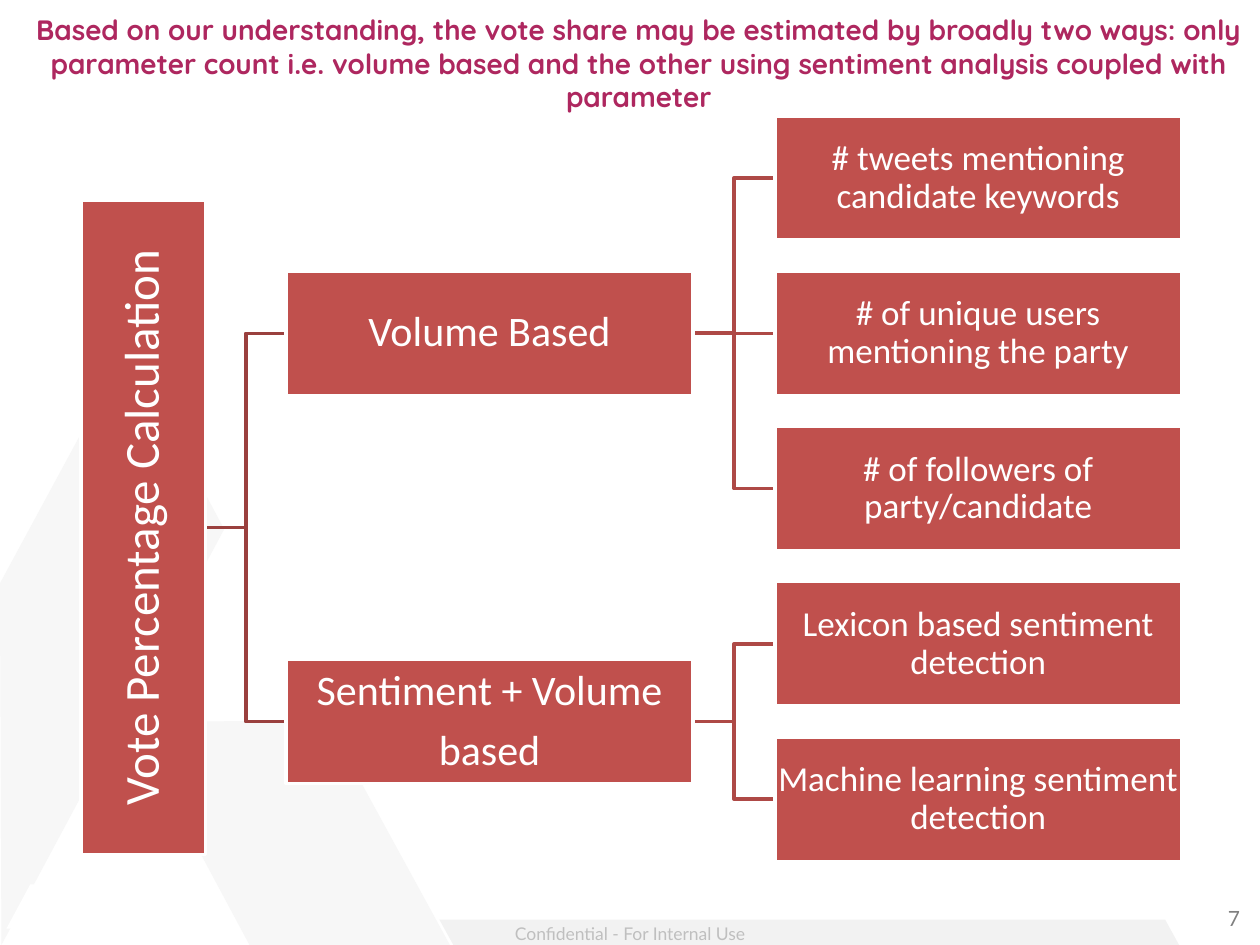
"""Build the vote percentage calculation tree slide."""
from dataclasses import dataclass, field

from lxml import etree
from pptx import Presentation
from pptx import util as u
from pptx.dml.color import RGBColor
from pptx.enum import shapes, text
from pptx.oxml.ns import qn


@dataclass(frozen=True)
class Theme:
    box: str = "C0504D"
    paper: str = "FFFFFF"
    root_link: str = "9A403E"
    branch_link: str = "AE4946"
    title: str = "AE275F"
    motif: str = "F7F7F7"
    footer_band: str = "F2F2F2"
    footer: str = "BFBFBF"
    page: str = "808080"
    node_font: str = "Calibri"
    title_font: str = "Quicksand"
    footer_font: str = "Lato"
    root_size: int = 28
    branch_size: int = 24
    leaf_size: int = 20
    title_size: int = 16
    page_size: int = 12
    footer_size: int = 10
    stroke: int = 2


@dataclass(frozen=True)
class Node:
    label: str
    row: float
    children: list["Node"] = field(default_factory=list)


@dataclass(frozen=True)
class Level:
    left: float
    width: float
    height: float
    size: int
    inset: float
    link: str = ""
    direction: str = "horz"


@dataclass(frozen=True)
class Caption:
    label: str
    left: float
    top: float
    width: float
    height: float
    font: str
    size: int
    color: str
    align: text.PP_ALIGN = text.PP_ALIGN.CENTER
    bold: bool = False


THEME = Theme()
ROW_CENTER, ROW_PITCH = 3.59, 3.13
LEVELS = [
    Level(1.63, 2.51, 13.18, THEME.root_size, 0.05, THEME.root_link, "vert270"),
    Level(5.77, 8.2, 2.51, THEME.branch_size, 0.05, THEME.branch_link),
    Level(15.62, 8.2, 2.51, THEME.leaf_size, 0.03),
]
TREE = Node("Vote Percentage Calculation", 2.25, [
    Node("Volume Based", 1, [
        Node("# tweets mentioning candidate keywords", 0),
        Node("# of unique users mentioning the party", 1),
        Node("# of followers of party/candidate", 2),
    ]),
    Node("Sentiment + Volume\nbased", 3.5, [
        Node("Lexicon based sentiment detection", 3),
        Node("Machine learning sentiment detection", 4),
    ]),
])
MOTIF = [
    (THEME.motif, [(0.03, 19.05), (0, 11.76), (2.57, 7.01), (4.52, 10.67)]),
    (THEME.motif, [(9.07, 19.05), (6.6, 14.53), (2.62, 14.55), (5.03, 19.05)]),
    (THEME.paper, [(2.92, 18.72), (0.13, 18.72), (0.61, 17.83), (2.92, 17.83)]),
]
FOOTER = Caption("Confidential - For Internal Use", 9.73, 18.49, 5.94, 0.56,
                 THEME.footer_font, THEME.footer_size, THEME.footer)
TITLE = Caption(
    "Based on our understanding, the vote share may be estimated by broadly two ways: "
    "only parameter count i.e. volume based and the other using sentiment analysis "
    "coupled with parameter",
    0.36, 0.13, 25.04, 2.18, THEME.title_font, THEME.title_size, THEME.title, bold=True)
PAGE = Caption("7", 24.16, 18.14, 1.09, 0.76, THEME.footer_font, THEME.page_size,
               THEME.page, text.PP_ALIGN.RIGHT)


def paint(shape, color: str) -> None:
    """Give a shape a plain fill without line or shadow."""
    shape.shadow.inherit = False
    shape.fill.solid()
    shape.fill.fore_color.rgb = RGBColor.from_string(color)
    shape.line.fill.background()


def style(paragraph, font: str, size: int, color: str, align, bold: bool = False) -> None:
    """Format a paragraph and its runs."""
    paragraph.alignment = align
    for run in paragraph.runs:
        run.font.name, run.font.size, run.font.bold = font, u.Pt(size), bold
        run.font.color.rgb = RGBColor.from_string(color)


def add_caption(slide, caption: Caption) -> None:
    """Add a free text box."""
    frame = slide.shapes.add_textbox(
        u.Cm(caption.left), u.Cm(caption.top), u.Cm(caption.width), u.Cm(caption.height)
    ).text_frame
    frame.word_wrap = True
    frame.text = caption.label
    style(frame.paragraphs[0], caption.font, caption.size, caption.color,
          caption.align, caption.bold)


def add_backdrop(slide) -> None:
    """Add the footer band and the pale corner motif."""
    band = slide.shapes.add_shape(shapes.MSO_SHAPE.PARALLELOGRAM,
                                  u.Cm(8.86), u.Cm(18.54), u.Cm(14.91), u.Cm(0.51))
    band.adjustments[0] = 0.55
    band._element.spPr.find(qn("a:xfrm")).set("flipH", "1")
    paint(band, THEME.footer_band)
    for color, outline in MOTIF:
        start, *rest = [(u.Cm(x), u.Cm(y)) for x, y in outline]
        builder = slide.shapes.build_freeform(*start)
        builder.add_line_segments(rest, close=True)
        paint(builder.convert_to_shape(), color)


def add_box(slide, node: Node, level: Level):
    """Add one labelled box of the tree."""
    top = ROW_CENTER + node.row * ROW_PITCH - level.height / 2
    box = slide.shapes.add_shape(shapes.MSO_SHAPE.RECTANGLE, u.Cm(level.left), u.Cm(top),
                                 u.Cm(level.width), u.Cm(level.height))
    paint(box, THEME.box)
    box.line.color.rgb = RGBColor.from_string(THEME.paper)
    box.line.width = u.Pt(THEME.stroke)
    frame = box.text_frame
    frame.text = node.label
    frame.word_wrap = True
    frame.vertical_anchor = text.MSO_ANCHOR.MIDDLE
    frame.margin_left = frame.margin_right = u.Cm(level.inset)
    frame.margin_top = frame.margin_bottom = u.Cm(level.inset)
    frame._txBody.bodyPr.set("vert", level.direction)
    for paragraph in frame.paragraphs:
        style(paragraph, THEME.node_font, level.size, THEME.paper, text.PP_ALIGN.CENTER)
        paragraph.line_spacing = 0.9
        paragraph.space_after = u.Pt(0.35 * level.size)
    return box


def add_link(slide, parent, child, color: str, level_run: bool) -> None:
    """Join the right side of a parent to the left side of a child."""
    kind = shapes.MSO_CONNECTOR.STRAIGHT if level_run else shapes.MSO_CONNECTOR.ELBOW
    link = slide.shapes.add_connector(kind, 0, 0, 0, 0)
    link.begin_connect(parent, 3)
    link.end_connect(child, 1)
    link.line.color.rgb = RGBColor.from_string(color)
    link.line.width = u.Pt(THEME.stroke)
    etree.SubElement(link._element.spPr, qn("a:effectLst"))


def add_tree(slide, node: Node, depth: int = 0):
    """Add a node with its descendants, keeping boxes in front of links."""
    level = LEVELS[depth]
    box = add_box(slide, node, level)
    for child in node.children:
        child_box = add_tree(slide, child, depth + 1)
        add_link(slide, box, child_box, level.link, child.row == node.row)
        slide.shapes._spTree.append(child_box._element)
    slide.shapes._spTree.append(box._element)
    return box


def main() -> None:
    """Build and save the slide."""
    deck = Presentation()
    deck.slide_width, deck.slide_height = u.Cm(25.4), u.Cm(19.05)
    slide = deck.slides.add_slide(deck.slide_layouts[6])
    add_backdrop(slide)
    add_caption(slide, FOOTER)
    add_caption(slide, TITLE)
    add_tree(slide, TREE)
    add_caption(slide, PAGE)
    deck.save("out.pptx")


if __name__ == "__main__":
    main()
